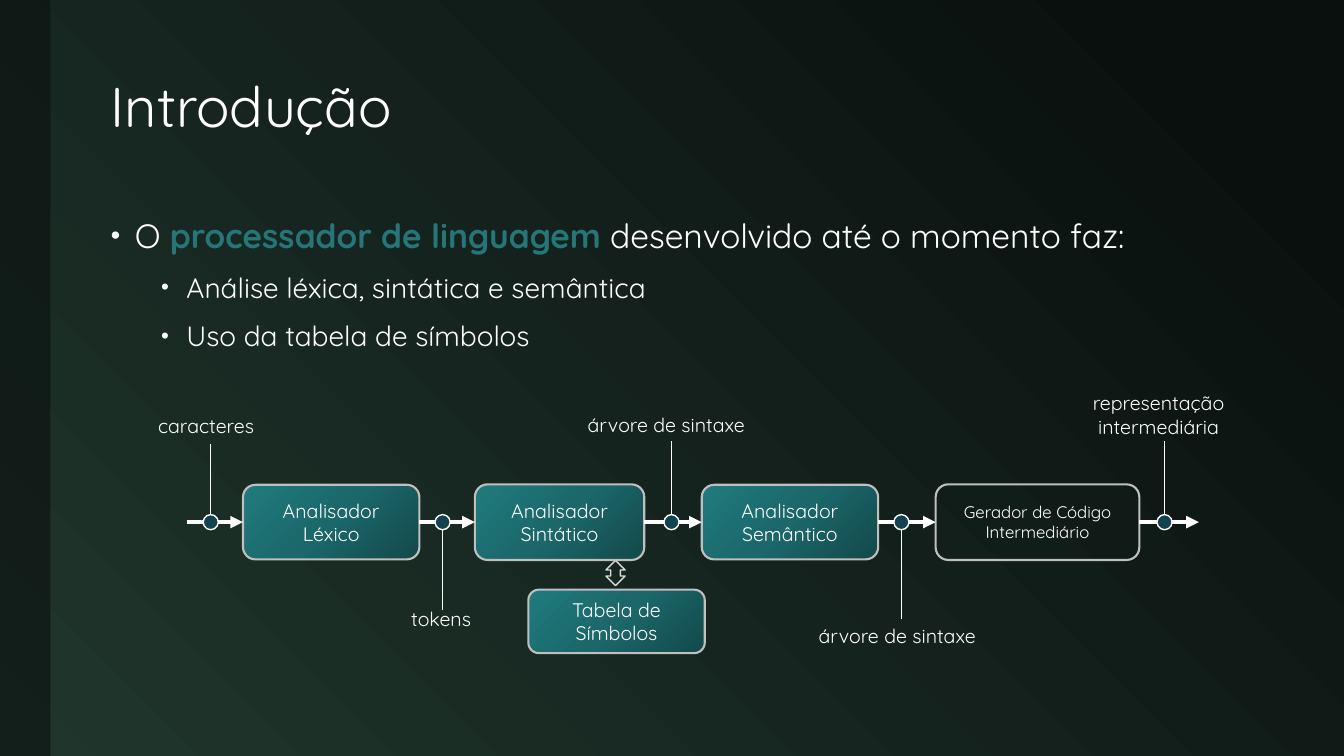
import pptx
import pptx.util
import pptx.dml.color
import pptx.enum.shapes
import pptx.enum.text
import pptx.oxml
import pptx.oxml.ns
from lxml import etree

Inches = pptx.util.Inches
Pt = pptx.util.Pt
SHAPE = pptx.enum.shapes.MSO_SHAPE
ALIGN = pptx.enum.text.PP_ALIGN
ANCHOR = pptx.enum.text.MSO_ANCHOR
qn = pptx.oxml.ns.qn

FONT = "Quicksand"
COLORS = {
    "white": "FFFFFF", "night": "0A100E", "forest": "20362D", "accent": "267577",
    "teal_dark": "13494A", "teal_mid": "1B676A", "teal_light": "207B7D",
    "box_line": "BFBFBF", "arrow_line": "D9D9D9", "dot": "134251",
}
BACKGROUND_STOPS = [(10, "night"), (100, "forest")]
BOX_STOPS = [(0, "teal_dark"), (50, "teal_mid"), (100, "teal_light")]

TITLE = "Introdução"
BULLETS = [
    (["O ", "processador de linguagem", " desenvolvido até o momento faz:"], 24, 18, 0.24, 0.24),
    (["Análise léxica, sintática e semântica"], 20, 6, 0.75, 0.25),
    (["Uso da tabela de símbolos"], 20, 6, 0.75, 0.25),
]
FLOW_Y = 5.18
DOT = 0.15
STAGES = [
    ("Analisador\nLéxico", 2.41, 1.75, 0.74, 14, True),
    ("Analisador\nSintático", 4.71, 1.68, 0.75, 14, True),
    ("Analisador\nSemântico", 6.96, 1.75, 0.74, 14, True),
    ("Gerador de Código Intermediário", 9.28, 2.02, 0.75, 12, False),
]
SYMBOL_TABLE = ("Tabela de Símbolos", 5.24, 5.85, 1.75, 0.63, 14, True)
FLOW_START, FLOW_END = 1.85, 11.89
SIGNALS = [
    ("caracteres", (1.47, 4.06, 1.24, 0.34), 2.09, 4.4),
    ("tokens", (3.98, 5.97, 0.82, 0.34), 4.39, 6.05),
    ("árvore de sintaxe", (5.73, 4.05, 1.85, 0.34), 6.66, 4.38),
    ("árvore de sintaxe", (8.02, 6.14, 1.85, 0.34), 8.94, 6.14),
    ("representação\nintermediária", (10.74, 3.83, 1.62, 0.57), 11.55, 4.38),
]


def color(name):
    return pptx.dml.color.RGBColor.from_string(COLORS[name])


def paint_gradient(fill, root, stops, angle):
    fill.gradient()
    fill.gradient_angle = 360 - angle
    stop_list = next(root.iter(qn("a:gsLst")))
    for stop in list(stop_list):
        stop_list.remove(stop)
    for position, name in stops:
        stop = etree.SubElement(stop_list, qn("a:gs"), pos=str(position * 1000))
        etree.SubElement(stop, qn("a:srgbClr"), val=COLORS[name])


def style_text(text_frame, size, alignment):
    for paragraph in text_frame.paragraphs:
        paragraph.alignment = alignment
        for run in paragraph.runs:
            style_run(run, size)


def style_run(run, size, name="white"):
    run.font.name = FONT
    run.font.size = Pt(size)
    run.font.color.rgb = color(name)


def add_shape(kind, left, top, width, height, line=None, points=1, fill=None):
    shape = slide.shapes.add_shape(kind, *map(Inches, (left, top, width, height)))
    shape.shadow.inherit = False
    if fill:
        shape.fill.solid()
        shape.fill.fore_color.rgb = color(fill)
    else:
        shape.fill.background()
    if line:
        shape.line.color.rgb = color(line)
        shape.line.width = Pt(points)
    else:
        shape.line.fill.background()
    return shape


def add_box(text, left, top, width, height, size, filled):
    box = add_shape(SHAPE.ROUNDED_RECTANGLE, left, top, width, height, "box_line", 1.5)
    if filled:
        paint_gradient(box.fill, box._element, BOX_STOPS, 225)
    box.text_frame.text = text
    box.text_frame.vertical_anchor = ANCHOR.MIDDLE
    style_text(box.text_frame, size, ALIGN.CENTER)
    return box


def add_text(text, left, top, width, height, size, wrap=True):
    text_box = slide.shapes.add_textbox(*map(Inches, (left, top, width, height)))
    text_frame = text_box.text_frame
    text_frame.word_wrap = wrap
    text_frame.text = text
    style_text(text_frame, size, ALIGN.LEFT)
    return text_frame


def add_line(x1, y1, x2, y2, points, arrow=False):
    line = slide.shapes.add_connector(
        pptx.enum.shapes.MSO_CONNECTOR.STRAIGHT, *map(Inches, (x1, y1, x2, y2)))
    line.line.color.rgb = color("white")
    line.line.width = Pt(points)
    if arrow:
        etree.SubElement(line.line._get_or_add_ln(), qn("a:tailEnd"), type="triangle")
    etree.SubElement(line._element.spPr, qn("a:effectLst"))
    return line


presentation = pptx.Presentation()
presentation.slide_width, presentation.slide_height = Inches(13.33), Inches(7.5)
slide = presentation.slides.add_slide(presentation.slide_layouts[6])
paint_gradient(slide.background.fill, slide._element, BACKGROUND_STOPS, 135)

side_bar = add_shape(SHAPE.RECTANGLE, 0, 0, 0.5, 7.5, fill="night")
side_color = next(side_bar._element.spPr.iter(qn("a:srgbClr")))
etree.SubElement(side_color, qn("a:alpha"), val="60000")

title = add_text(TITLE, 1, 0.42, 11.65, 1.33, 40)
title.vertical_anchor = ANCHOR.MIDDLE
title.paragraphs[0].line_spacing = 0.9

body = add_text("", 1, 2, 11.65, 4.83, 24)
for number, (parts, size, space, margin, hanging) in enumerate(BULLETS):
    paragraph = body.add_paragraph() if number else body.paragraphs[0]
    paragraph.line_spacing = 1.2
    paragraph.space_before = Pt(space)
    for part_number, part in enumerate(parts):
        run = paragraph.add_run()
        run.text = part
        run.font.bold = part_number == 1
        style_run(run, size, "accent" if run.font.bold else "white")
    properties = paragraph._p.get_or_add_pPr()
    properties.set("marL", str(Inches(margin)))
    properties.set("indent", str(-Inches(hanging)))
    etree.SubElement(properties, qn("a:buSzPct"), val="80000")
    etree.SubElement(properties, qn("a:buFont"), typeface="Arial")
    etree.SubElement(properties, qn("a:buChar"), char="•")

add_shape(SHAPE.UP_DOWN_ARROW, 6.01, 5.56, 0.19, 0.25, "arrow_line")
add_box(*SYMBOL_TABLE)
boxes = [add_box(text, left, FLOW_Y - height / 2, width, height, size, filled)
         for text, left, width, height, size, filled in STAGES]

for source, target in zip([None] + boxes, boxes + [None]):
    arrow = add_line(FLOW_START, FLOW_Y, FLOW_END, FLOW_Y, 3, arrow=True)
    if source:
        arrow.begin_connect(source, 3)
    if target:
        arrow.end_connect(target, 1)

for text, place, x, stem_y in SIGNALS:
    label = add_text(text, *place, 14, wrap=False)
    label.auto_size = pptx.enum.text.MSO_AUTO_SIZE.SHAPE_TO_FIT_TEXT
    for paragraph in label.paragraphs[1:]:
        paragraph.alignment = ALIGN.CENTER
    side = 1 if stem_y > FLOW_Y else -1
    add_line(x, stem_y, x, FLOW_Y + side * DOT / 2, 0.75)
    add_shape(SHAPE.OVAL, x - DOT / 2, FLOW_Y - DOT / 2, DOT, DOT, "white", 1, "dot")

presentation.save("out.pptx")
